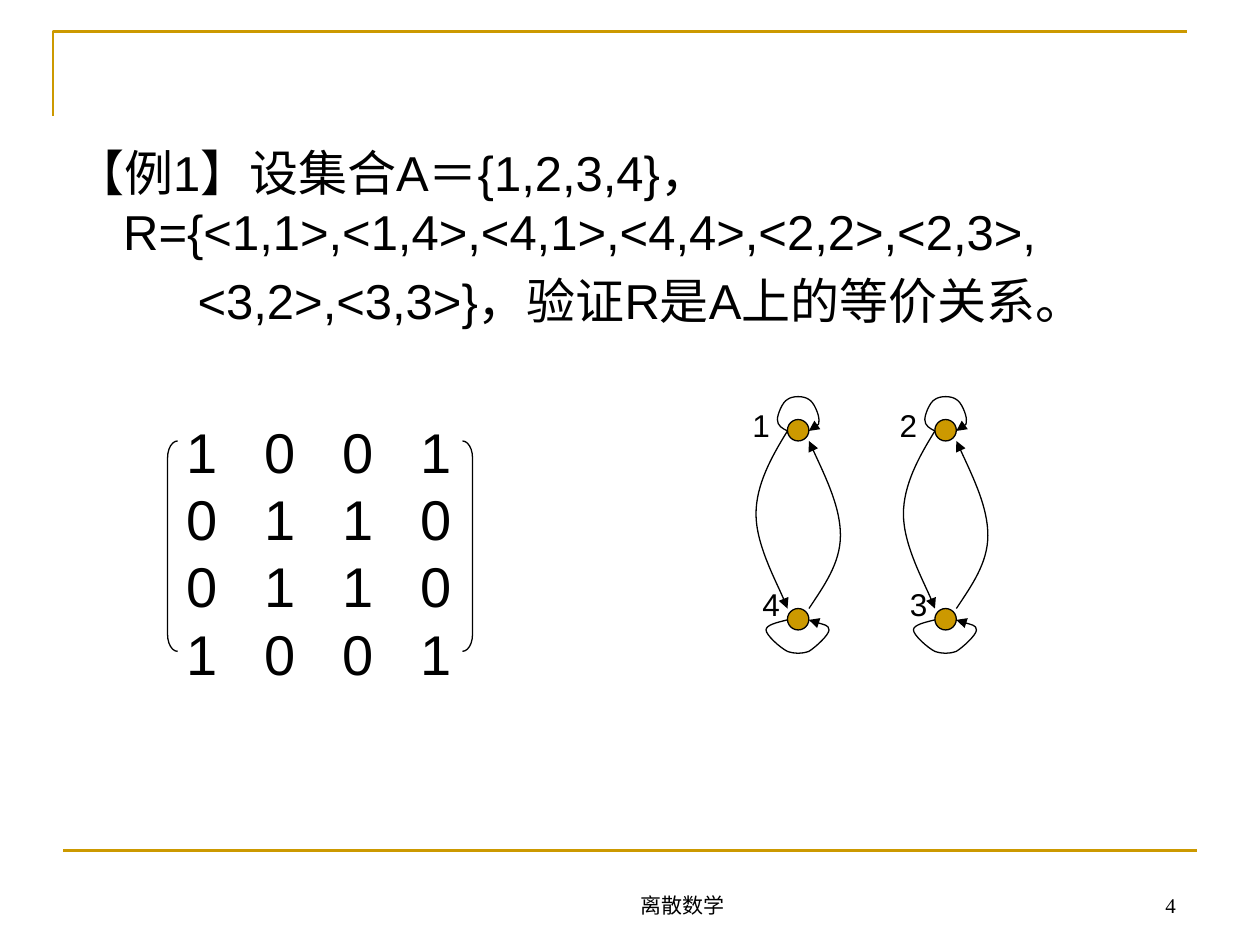
import pptx
import pptx.util
import pptx.dml.color
import pptx.enum.shapes
import pptx.enum.text
import pptx.oxml
import pptx.oxml.ns
from pptx.util import Inches

GOLD = pptx.dml.color.RGBColor(0xCC, 0x99, 0x00)
BLACK = pptx.dml.color.RGBColor(0x00, 0x00, 0x00)
SHAPE = pptx.enum.shapes.MSO_SHAPE
ANCHOR = pptx.enum.text.MSO_ANCHOR
ALIGN = pptx.enum.text.PP_ALIGN
NS = pptx.oxml.ns.nsdecls("a")
qn = pptx.oxml.ns.qn


def add_text(box, lines, size, font="Arial", align=ALIGN.LEFT, anchor=ANCHOR.MIDDLE, wrap=False):
    tf = slide.shapes.add_textbox(*[Inches(v) for v in box]).text_frame
    tf.word_wrap = wrap
    tf.vertical_anchor = anchor
    for i, line in enumerate(lines):
        p = tf.paragraphs[0] if i == 0 else tf.add_paragraph()
        p.alignment = align
        r = p.add_run()
        r.text = line
        r.font.size = pptx.util.Pt(size)
        r.font.name = font
        r.font.color.rgb = BLACK
    return tf


def add_path(points, color, width):
    points = [(Inches(x), Inches(y)) for x, y in points]
    fb = slide.shapes.build_freeform(*points[0])
    fb.add_line_segments(points[1:], close=False)
    s = fb.convert_to_shape()
    s.shadow.inherit = False
    s.fill.background()
    s.line.color.rgb = color
    s.line.width = pptx.util.Pt(width)
    return s


prs = pptx.Presentation()
prs.slide_width = Inches(10)
prs.slide_height = Inches(7.5)
slide = prs.slides.add_slide(prs.slide_layouts[6])

add_path([(0.42, 0.92), (0.42, 0.25), (9.42, 0.25)], GOLD, 1.5)
rule = slide.shapes.add_connector(
    pptx.enum.shapes.MSO_CONNECTOR.STRAIGHT, Inches(0.5), Inches(6.75), Inches(9.5), Inches(6.75))
rule.line.color.rgb = GOLD
rule.line.width = pptx.util.Pt(1.5)
rule._element.spPr.append(pptx.oxml.parse_xml(f"<a:effectLst {NS}/>"))

add_text((3.83, 6.83, 3.17, 0.5), ["离散数学"], 12, "Times New Roman", ALIGN.CENTER, ANCHOR.BOTTOM, True)
add_text((8.33, 6.83, 1.1, 0.5), ["4"], 12, "Times New Roman", ALIGN.RIGHT, ANCHOR.BOTTOM, True)

tf = add_text((0.5, 1.08, 9, 4.95), [
    "【例1】设集合A＝{1,2,3,4}，R={<1,1>,<1,4>,<4,1>,<4,4>,<2,2>,<2,3>,",
    "<3,2>,<3,3>}，验证R是A上的等价关系。",
], 28, anchor=ANCHOR.TOP, wrap=True)
for p, indent in zip(tf.paragraphs, (-0.38, 0.59)):
    pPr = p._p.get_or_add_pPr()
    pPr.set("marL", str(Inches(0.38)))
    pPr.set("indent", str(Inches(indent)))
tf.paragraphs[1].space_before = pptx.util.Pt(6)

matrix = ["1001", "0110", "0110", "1001"]
tf = add_text((0.92, 3.09, 3.25, 2.58), ["\t".join(row) for row in matrix], 32, wrap=True)
tf.margin_left = Inches(0.56)
for p in tf.paragraphs:
    tabs = "".join(f'<a:tab pos="{Inches(0.62 * n)}" algn="l"/>' for n in (1, 2, 3))
    p._p.get_or_add_pPr().append(pptx.oxml.parse_xml(f"<a:tabLst {NS}>{tabs}</a:tabLst>"))

for kind, x in ((SHAPE.LEFT_BRACKET, 1.33), (SHAPE.RIGHT_BRACKET, 3.67)):
    s = slide.shapes.add_shape(kind, Inches(x), Inches(3.5), Inches(0.08), Inches(1.67))
    s.adjustments[0] = 1.667
    s.shadow.inherit = False
    s.fill.background()
    s.line.color.rgb = BLACK
    s.line.width = pptx.util.Pt(0.75)

EDGES = [
    [(6.25, 3.42), (6.12, 3.63), (6, 3.85), (6, 4.08), (6, 4.32), (6.21, 4.71), (6.25, 4.83)],
    [(6.42, 4.83), (6.54, 4.65), (6.67, 4.47), (6.67, 4.25), (6.67, 4.03), (6.54, 3.76), (6.42, 3.5)],
    [(6.25, 4.92), (6.17, 4.94), (6.08, 4.96), (6.08, 5), (6.08, 5.04), (6.19, 5.14), (6.25, 5.17),
     (6.31, 5.19), (6.36, 5.19), (6.42, 5.17), (6.47, 5.14), (6.58, 5.04), (6.58, 5),
     (6.58, 4.96), (6.44, 4.93), (6.42, 4.92)],
    [(6.25, 3.42), (6.21, 3.4), (6.17, 3.38), (6.17, 3.33), (6.17, 3.29), (6.21, 3.19), (6.25, 3.17),
     (6.29, 3.14), (6.38, 3.14), (6.42, 3.17), (6.46, 3.19), (6.5, 3.29), (6.5, 3.33),
     (6.5, 3.38), (6.46, 3.4), (6.42, 3.42)],
]

for dx, top_label, bottom_label in ((0, "1", "4"), (1.17, "2", "3")):
    for y in (3.33, 4.83):
        s = slide.shapes.add_shape(SHAPE.OVAL, Inches(6.25 + dx), Inches(y), Inches(0.17), Inches(0.17))
        s.shadow.inherit = False
        s.fill.solid()
        s.fill.fore_color.rgb = GOLD
        s.line.color.rgb = BLACK
        s.line.width = pptx.util.Pt(0.75)
    for edge in EDGES:
        s = add_path([(x + dx, y) for x, y in edge], BLACK, 0.75)
        spPr = s._element.spPr
        outline = next(spPr.iter(qn("a:path")))
        segments = outline.findall(qn("a:lnTo"))
        for i in range(0, len(segments), 3):
            curve = pptx.oxml.parse_xml(f"<a:cubicBezTo {NS}/>")
            for segment in segments[i:i + 3]:
                curve.append(segment[0])
                outline.remove(segment)
            outline.append(curve)
        spPr.find(qn("a:ln")).append(pptx.oxml.parse_xml(f'<a:tailEnd {NS} type="triangle"/>'))
    for label, x, y in ((top_label, 5.75, 3.08), (bottom_label, 5.83, 4.5)):
        add_text((x + dx, y, 0.58, 0.58), [label], 18, align=ALIGN.CENTER)

prs.save("out.pptx")
